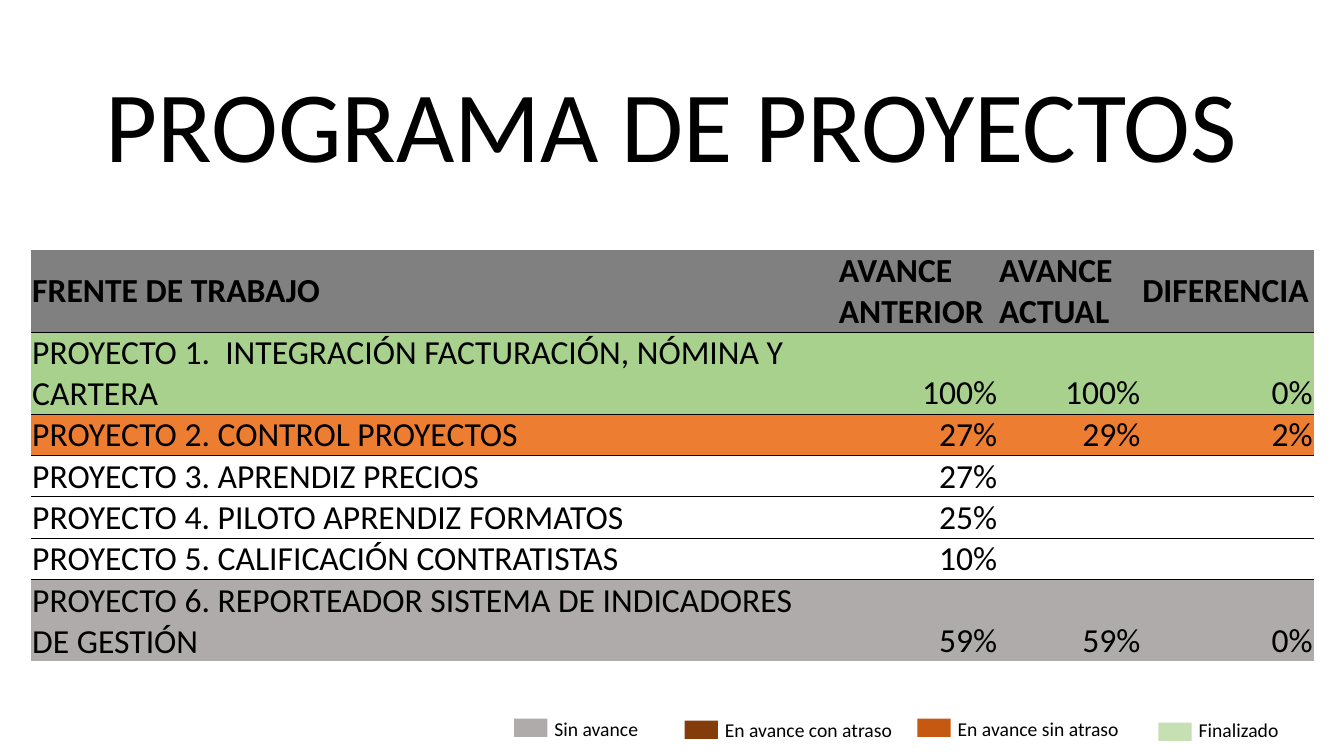
import pptx
import pptx.util
import pptx.oxml.ns
from lxml import etree
from pptx.dml.color import RGBColor
from pptx.enum.shapes import MSO_SHAPE
from pptx.enum.text import MSO_ANCHOR, PP_ALIGN
from pptx.util import Inches

FONT = "Calibri"
BLACK = RGBColor(0x00, 0x00, 0x00)
HEADER_GRAY = RGBColor(0x80, 0x80, 0x80)
GRAY = RGBColor(0xAF, 0xAB, 0xAB)
GREEN = RGBColor(0xA9, 0xD1, 0x8E)
ORANGE = RGBColor(0xED, 0x7D, 0x31)
BROWN = RGBColor(0x84, 0x3C, 0x0B)
DARK_ORANGE = RGBColor(0xC6, 0x59, 0x11)
PALE_GREEN = RGBColor(0xC6, 0xE0, 0xB4)

COLUMN_WIDTHS = [8, 1.59, 1.42, 1.71]
LINE_HEIGHT = 0.407
HEADERS = ["FRENTE DE TRABAJO", "AVANCE ANTERIOR", "AVANCE ACTUAL", "DIFERENCIA"]
# Cell texts, row fill, lines of text in the row
ROWS = [
    (HEADERS, HEADER_GRAY, 2),
    (["PROYECTO 1.  INTEGRACIÓN FACTURACIÓN, NÓMINA Y CARTERA", "100%", "100%", "0%"], GREEN, 2),
    (["PROYECTO 2. CONTROL PROYECTOS", "27%", "29%", "2%"], ORANGE, 1),
    (["PROYECTO 3. APRENDIZ PRECIOS", "27%", "", ""], None, 1),
    (["PROYECTO 4. PILOTO APRENDIZ FORMATOS", "25%", "", ""], None, 1),
    (["PROYECTO 5. CALIFICACIÓN CONTRATISTAS", "10%", "", ""], None, 1),
    (["PROYECTO 6. REPORTEADOR SISTEMA DE INDICADORES DE GESTIÓN", "59%", "59%", "0%"], GRAY, 2),
]
# Label, colour, swatch left and top, label top and width
LEGEND = [
    ("Sin avance", GRAY, 5.1, 7.13, 7.06, 1.93),
    ("En avance con atraso", BROWN, 6.79, 7.15, 7.07, 1.93),
    ("En avance sin atraso", DARK_ORANGE, 9.1, 7.13, 7.06, 1.93),
    ("Finalizado", PALE_GREEN, 11.49, 7.17, 7.07, 1.02),
]


def add_run(paragraph, text, size, bold=False):
    run = paragraph.add_run()
    run.text = text
    run.font.name = FONT
    run.font.size = pptx.util.Pt(size)
    run.font.bold = bold
    run.font.color.rgb = BLACK


def add_text(slide, text, left, top, width, height, size, alignment=PP_ALIGN.LEFT):
    box = slide.shapes.add_textbox(Inches(left), Inches(top), Inches(width), Inches(height))
    box.text_frame.word_wrap = True
    paragraph = box.text_frame.paragraphs[0]
    paragraph.alignment = alignment
    add_run(paragraph, text, size)


def set_borders(cell, ruled_edges):
    """Draw thin black lines on the ruled edges and none on the others."""
    properties = cell._tc.get_or_add_tcPr()
    for edge in ("L", "R", "T", "B"):
        line = etree.SubElement(properties, pptx.oxml.ns.qn(f"a:ln{edge}"))
        if edge in ruled_edges:
            line.set("w", str(pptx.util.Pt(0.5)))
            fill = etree.SubElement(line, pptx.oxml.ns.qn("a:solidFill"))
            etree.SubElement(fill, pptx.oxml.ns.qn("a:srgbClr")).set("val", str(BLACK))
        else:
            etree.SubElement(line, pptx.oxml.ns.qn("a:noFill"))


def fill_cell(cell, text, color, is_header, is_number):
    cell.margin_left = cell.margin_right = cell.margin_top = Inches(0.01)
    cell.margin_bottom = 0
    cell.vertical_anchor = MSO_ANCHOR.MIDDLE if is_header else MSO_ANCHOR.BOTTOM
    if color is None:
        cell.fill.background()
    else:
        cell.fill.solid()
        cell.fill.fore_color.rgb = color
    if text:
        paragraph = cell.text_frame.paragraphs[0]
        paragraph.alignment = PP_ALIGN.RIGHT if is_number else PP_ALIGN.LEFT
        add_run(paragraph, text, 24, bold=is_header)


def add_project_table(slide):
    height = LINE_HEIGHT * sum(lines for _, _, lines in ROWS)
    table = slide.shapes.add_table(
        len(ROWS), len(COLUMN_WIDTHS), Inches(0.31), Inches(2.48),
        Inches(sum(COLUMN_WIDTHS)), Inches(height)).table
    table.first_row = table.horz_banding = False
    for column, width in zip(table.columns, COLUMN_WIDTHS):
        column.width = Inches(width)
    for row_index, (texts, color, lines) in enumerate(ROWS):
        table.rows[row_index].height = Inches(LINE_HEIGHT * lines)
        is_header = row_index == 0
        ruled_edges = ("" if is_header else "T") + ("B" if row_index < len(ROWS) - 1 else "")
        for column_index, text in enumerate(texts):
            cell = table.cell(row_index, column_index)
            set_borders(cell, ruled_edges)
            fill_cell(cell, text, color, is_header, not is_header and column_index > 0)


def add_legend_entry(slide, label, color, left, swatch_top, label_top, label_width):
    swatch = slide.shapes.add_shape(
        MSO_SHAPE.RECTANGLE, Inches(left), Inches(swatch_top), Inches(0.33), Inches(0.18))
    swatch.shadow.inherit = False
    swatch.fill.solid()
    swatch.fill.fore_color.rgb = color
    swatch.line.fill.background()
    add_text(slide, label, left + 0.3, label_top, label_width, 0.34, 14)


def main():
    presentation = pptx.Presentation()
    presentation.slide_width = Inches(13.33)
    presentation.slide_height = Inches(7.5)
    slide = presentation.slides.add_slide(presentation.slide_layouts[6])
    add_text(slide, "PROGRAMA DE PROYECTOS", 0.61, 0.56, 12.1, 1.31, 72, PP_ALIGN.CENTER)
    add_project_table(slide)
    for entry in LEGEND:
        add_legend_entry(slide, *entry)
    presentation.save("out.pptx")


if __name__ == "__main__":
    main()
